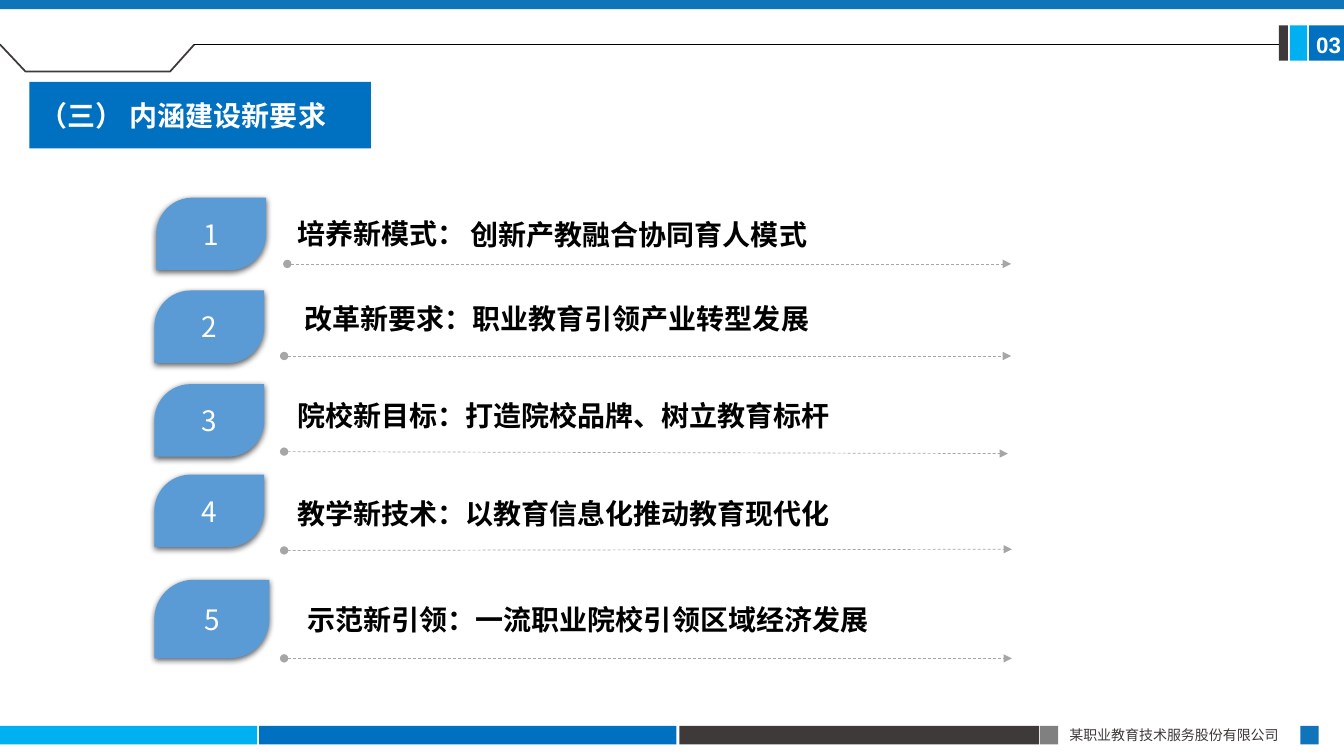
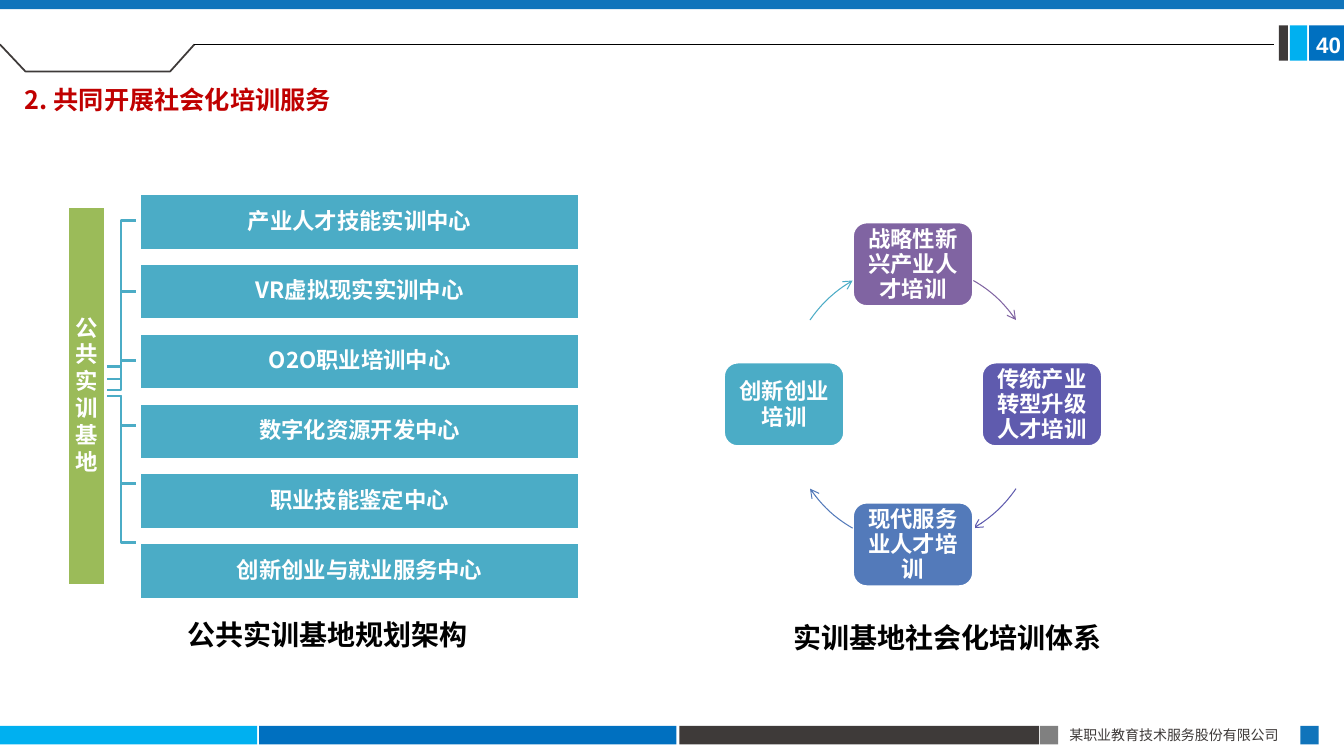
"""Build two training-programme slides on one shared frame."""
from dataclasses import dataclass
from typing import NamedTuple, Optional

import lxml.etree
import pptx
import pptx.dml.color
import pptx.enum.dml
import pptx.enum.shapes
import pptx.enum.text
import pptx.oxml.ns
import pptx.presentation
import pptx.shapes.autoshape
import pptx.shapes.base
import pptx.slide
import pptx.text.text
import pptx.util

Cm = pptx.util.Cm
Pt = pptx.util.Pt
RGBColor = pptx.dml.color.RGBColor
Shape = pptx.shapes.autoshape.Shape
Slide = pptx.slide.Slide
PresetShape = pptx.enum.shapes.MSO_SHAPE
Align = pptx.enum.text.PP_ALIGN
Anchor = pptx.enum.text.MSO_ANCHOR
qualified = pptx.oxml.ns.qn

WHITE = RGBColor(0xFF, 0xFF, 0xFF)
BLACK = RGBColor(0x00, 0x00, 0x00)
CHARCOAL = RGBColor(0x3E, 0x3A, 0x39)
GRAY = RGBColor(0x80, 0x80, 0x80)
LIGHT_GRAY = RGBColor(0xA6, 0xA6, 0xA6)
SKY = RGBColor(0x00, 0xB0, 0xF0)
BLUE = RGBColor(0x00, 0x70, 0xC0)
STEEL = RGBColor(0x10, 0x74, 0xBB)
BADGE_BLUE = RGBColor(0x5B, 0x9B, 0xD5)
RED = RGBColor(0xC0, 0x00, 0x00)
TEAL = RGBColor(0x4B, 0xAC, 0xC6)
GREEN = RGBColor(0x9B, 0xBB, 0x59)
PURPLE = RGBColor(0x80, 0x64, 0xA2)
INDIGO = RGBColor(0x5F, 0x5B, 0xAE)
DENIM = RGBColor(0x53, 0x7A, 0xBA)

CHINESE_FONT = "Noto Sans CJK SC"
FOOTER_TOP, FOOTER_HEIGHT = 18.29, 0.47
MARK_TOP, MARK_HEIGHT = 0.64, 0.89
RULE_Y = 1.12


class Box(NamedTuple):
    """A rectangle in centimetres."""
    left: float
    top: float
    width: float
    height: float


class Point(NamedTuple):
    """A position in centimetres."""
    x: float
    y: float


@dataclass(frozen=True)
class TextStyle:
    """Character and paragraph format of a text."""
    size: float
    color: RGBColor
    bold: bool = True
    font: str = CHINESE_FONT
    align: Align = Align.LEFT
    line_spacing: Optional[float | pptx.util.Length] = None
    space_after: float = 0


class Band(NamedTuple):
    """A plain coloured rectangle of the frame."""
    box: Box
    color: RGBColor


class Row(NamedTuple):
    """A numbered badge with its dashed arrow."""
    badge: Box
    start: Point
    end: Point


class Label(NamedTuple):
    """A bold one-line text."""
    left: float
    top: float
    text: str


class Node(NamedTuple):
    """A cycle step, its centre offset in radii and its outgoing arc in degrees."""
    text: str
    color: RGBColor
    across: int
    down: int
    arc_start: float
    arc_end: float


LABEL_STYLE = TextStyle(20, BLACK)
BADGE_STYLE = TextStyle(20, WHITE, bold=False, align=Align.CENTER)
CENTER_STYLE = TextStyle(16, WHITE, align=Align.CENTER, line_spacing=0.9)
PILLAR_STYLE = TextStyle(16, WHITE, align=Align.CENTER, line_spacing=0.9, space_after=2)
NODE_STYLE = TextStyle(16, WHITE, align=Align.CENTER, line_spacing=Pt(18))
FOOTER_STYLE = TextStyle(10, CHARCOAL, bold=False)
NUMBER_STYLE = TextStyle(16, WHITE, font="Arial")

BANDS = [
    Band(Box(0, FOOTER_TOP, 6.48, FOOTER_HEIGHT), SKY),
    Band(Box(6.53, FOOTER_TOP, 10.52, FOOTER_HEIGHT), BLUE),
    Band(Box(17.12, FOOTER_TOP, 9.07, FOOTER_HEIGHT), CHARCOAL),
    Band(Box(26.21, FOOTER_TOP, 0.46, FOOTER_HEIGHT), GRAY),
    Band(Box(32.77, FOOTER_TOP, 0.46, FOOTER_HEIGHT), STEEL),
    Band(Box(32.99, MARK_TOP, 0.88, MARK_HEIGHT), BLUE),
    Band(Box(32.51, MARK_TOP, 0.43, MARK_HEIGHT), SKY),
    Band(Box(32.23, MARK_TOP, 0.23, MARK_HEIGHT), CHARCOAL),
    Band(Box(0, 0, 33.87, 0.23), STEEL),
]
NOTCH = [Point(0, RULE_Y), Point(0.64, 1.8), Point(4.29, 1.8), Point(4.9, RULE_Y)]

ROWS = [
    Row(Box(3.94, 4.98, 2.77, 1.83), Point(7.24, 6.65), Point(25.48, 6.65)),
    Row(Box(3.89, 7.32, 2.77, 1.83), Point(7.16, 8.97), Point(25.48, 8.97)),
    Row(Box(3.89, 9.68, 2.77, 1.83), Point(7.16, 11.38), Point(25.4, 11.43)),
    Row(Box(3.89, 11.96, 2.77, 1.83), Point(7.16, 13.87), Point(25.5, 13.84)),
    Row(Box(3.89, 14.61, 2.9, 1.98), Point(7.16, 16.59), Point(25.5, 16.59)),
]
REQUIREMENTS = [
    Label(7.16, 5.31, "培养新模式："),
    Label(11.53, 5.34, "创新产教融合协同育人模式"),
    Label(7.34, 7.44, "改革新要求：职业教育引领产业转型发展"),
    Label(7.16, 9.88, "院校新目标：打造院校品牌、树立教育标杆"),
    Label(7.16, 12.37, "教学新技术：以教育信息化推动教育现代化"),
    Label(7.42, 15.04, "示范新引领：一流职业院校引领区域经济发展"),
]

CENTERS = ["产业人才技能实训中心", "VR虚拟现实实训中心", "O2O职业培训中心",
           "数字化资源开发中心", "职业技能鉴定中心", "创新创业与就业服务中心"]
BRACKET_STARTS = [9.24, 9.55, 9.83, 9.98, 9.98, 9.98]
BRACKET_ENDS = [5.56, 7.34, 9.09, 10.72, 12.19, 13.67]
NODES = [
    Node("战略性新兴产业人才培训", PURPLE, 0, -1, 296, 320.7),
    Node("传统产业转型升级人才培训", INDIGO, 1, 0, 39.3, 64),
    Node("现代服务业人才培训", DENIM, 0, 1, 116, 140.7),
    Node("创新创业培训", TEAL, -1, 0, 219.3, 244),
]
CYCLE_CENTER = Point(23.01, 10.19)
RADIUS_X, RADIUS_Y = 3.25, 3.53
NODE_WIDTH, NODE_HEIGHT = 3.05, 2.13
CAPTIONS = [Label(19.66, 15.49, "实训基地社会化培训体系"),
            Label(4.39, 15.42, "公共实训基地规划架构")]


def lengths(values: tuple) -> list[pptx.util.Length]:
    """Convert centimetre values to lengths."""
    return [Cm(value) for value in values]


def write_text(shape: Shape, text: str, style: TextStyle,
               inset: tuple[float, float] = (0.25, 0.13), anchor: Anchor = Anchor.MIDDLE) -> None:
    """Fill a shape with wrapped, formatted text."""
    frame = shape.text_frame
    frame.text = text
    frame.word_wrap = True
    frame.auto_size = pptx.enum.text.MSO_AUTO_SIZE.NONE
    frame.vertical_anchor = anchor
    frame.margin_left = frame.margin_right = Cm(inset[0])
    frame.margin_top = frame.margin_bottom = Cm(inset[1])
    for paragraph in frame.paragraphs:
        paragraph.alignment = style.align
        paragraph.line_spacing = style.line_spacing
        paragraph.space_after = Pt(style.space_after)
        for run in paragraph.runs:
            run.font.name = style.font
            run.font.size = Pt(style.size)
            run.font.bold = style.bold
            run.font.color.rgb = style.color
            properties = run._r.get_or_add_rPr()
            lxml.etree.SubElement(properties, qualified("a:ea"), typeface=style.font)


def add_text(slide: Slide, box: Box, text: str, style: TextStyle, inset: tuple[float, float]) -> None:
    """Add a top-anchored text box."""
    write_text(slide.shapes.add_textbox(*lengths(box)), text, style, inset, Anchor.TOP)


def add_label(slide: Slide, label: Label) -> None:
    """Add a large bold label."""
    add_text(slide, Box(label.left, label.top, 17, 1.19), label.text, LABEL_STYLE, (0.33, 0.15))


def add_block(slide: Slide, preset: PresetShape, box: Box, color: RGBColor,
              outline: Optional[RGBColor] = None) -> Shape:
    """Add a flat filled shape, outlined if a colour is given."""
    shape = slide.shapes.add_shape(preset, *lengths(box))
    shape.shadow.inherit = False
    shape.fill.solid()
    shape.fill.fore_color.rgb = color
    if outline is None:
        shape.line.fill.background()
    else:
        shape.line.color.rgb = outline
        shape.line.width = Pt(2)
    return shape


def add_polyline(slide: Slide, points: list[Point], color: RGBColor, width: float) -> None:
    """Add an open outline through the points."""
    start, *others = [tuple(lengths(point)) for point in points]
    builder = slide.shapes.build_freeform(*start)
    builder.add_line_segments(others, close=False)
    shape = builder.convert_to_shape()
    shape.shadow.inherit = False
    shape.fill.background()
    shape.line.color.rgb = color
    shape.line.width = Pt(width)


def add_line_end(shape: pptx.shapes.base.BaseShape, end: str, kind: str) -> None:
    """Put an arrowhead on a line end."""
    lxml.etree.SubElement(shape.line._get_or_add_ln(), qualified(f"a:{end}"), type=kind)


def add_line(slide: Slide, start: Point, end: Point, color: RGBColor) -> pptx.shapes.base.BaseShape:
    """Add a thin straight line."""
    connector = slide.shapes.add_connector(
        pptx.enum.shapes.MSO_CONNECTOR.STRAIGHT, *lengths(start + end))
    connector.line.color.rgb = color
    connector.line.width = Pt(0.5)
    lxml.etree.SubElement(connector.element.spPr, qualified("a:effectLst"))
    return connector


def add_soft_shadow(shape: Shape) -> None:
    """Add a soft shadow below a shape."""
    effects = shape.element.spPr.find(qualified("a:effectLst"))
    shadow = lxml.etree.SubElement(effects, qualified("a:outerShdw"), blurRad=str(Pt(4.5)),
                                   dist=str(Pt(1.5)), dir="5400000", rotWithShape="0")
    color = lxml.etree.SubElement(shadow, qualified("a:srgbClr"), val=str(BLACK))
    lxml.etree.SubElement(color, qualified("a:alpha"), val="63000")


def build_frame(slide: Slide) -> None:
    """Draw the shared frame and move it to the layout of the slide."""
    layout = slide.slide_layout
    for placeholder in list(layout.placeholders)[1:]:
        layout.shapes.element.remove(placeholder.element)
    for band in BANDS:
        add_block(slide, PresetShape.RECTANGLE, band.box, band.color)
    add_text(slide, Box(26.7, 18.19, 6.1, 0.69), "某职业教育技术服务股份有限公司", FOOTER_STYLE, (0.25, 0.13))
    add_polyline(slide, NOTCH, CHARCOAL, 1.25)
    for shape in list(slide.shapes)[1:]:
        layout.shapes.element.append(shape.element)


def set_heading(slide: Slide, box: Box, title: str, style: TextStyle, number: str, rule_end: float) -> None:
    """Set the title, page number and header rule."""
    placeholder = slide.shapes.title
    placeholder.left, placeholder.top, placeholder.width, placeholder.height = lengths(box)
    write_text(placeholder, title, style)
    add_line(slide, NOTCH[-1], Point(rule_end, RULE_Y), BLACK)
    add_text(slide, Box(33.17, 0.66, 0.69, 0.94), number, NUMBER_STYLE, (0, 0.13))


def build_requirements(slide: Slide) -> None:
    """Draw the numbered list of requirements."""
    set_heading(slide, Box(0.74, 2.06, 8.61, 1.68), "（三） 内涵建设新要求",
                TextStyle(20, WHITE), "03", 32.23)
    slide.shapes.title.fill.solid()
    slide.shapes.title.fill.fore_color.rgb = BLUE
    for number, row in enumerate(ROWS, start=1):
        badge = add_block(slide, PresetShape.ROUND_2_DIAG_RECTANGLE, row.badge, BADGE_BLUE)
        badge.adjustments[0] = 0.5
        add_soft_shadow(badge)
        write_text(badge, str(number), BADGE_STYLE)
        arrow = add_line(slide, row.start, row.end, LIGHT_GRAY)
        arrow.line.dash_style = pptx.enum.dml.MSO_LINE.DASH
        add_line_end(arrow, "headEnd", "oval")
        add_line_end(arrow, "tailEnd", "triangle")
    for label in REQUIREMENTS:
        add_label(slide, label)


def build_training(slide: Slide) -> None:
    """Draw the training base structure and the training cycle."""
    set_heading(slide, Box(0.38, 1.93, 10.03, 1.17), "2. 共同开展社会化培训服务",
                TextStyle(18, RED), "40", 32.11)
    for start, end in zip(BRACKET_STARTS, BRACKET_ENDS):
        add_polyline(slide, [Point(2.67, start), Point(3.05, start), Point(3.05, end),
                             Point(3.42, end)], TEAL, 2)
    pillar = add_block(slide, PresetShape.RECTANGLE, Box(1.7, 5.21, 0.97, 9.55), GREEN, WHITE)
    write_text(pillar, "\n".join("公共实训基地"), PILLAR_STYLE, (0.03, 0.03))
    for index, name in enumerate(CENTERS):
        box = Box(3.53, 4.88 + 1.76 * index, 11.07, 1.42)
        center = add_block(slide, PresetShape.RECTANGLE, box, TEAL, WHITE)
        write_text(center, name, CENTER_STYLE, (0.03, 0.03))
    ring = Box(CYCLE_CENTER.x - RADIUS_X, CYCLE_CENTER.y - RADIUS_Y, 2 * RADIUS_X, 2 * RADIUS_Y)
    for node in NODES:
        box = Box(CYCLE_CENTER.x + node.across * RADIUS_X - NODE_WIDTH / 2,
                  CYCLE_CENTER.y + node.down * RADIUS_Y - NODE_HEIGHT / 2, NODE_WIDTH, NODE_HEIGHT)
        step = add_block(slide, PresetShape.ROUNDED_RECTANGLE, box, node.color, WHITE)
        write_text(step, node.text, NODE_STYLE, (0.28, 0.28))
        arc = slide.shapes.add_shape(PresetShape.ARC, *lengths(ring))
        arc.shadow.inherit = False
        arc.fill.background()
        arc.adjustments[0], arc.adjustments[1] = node.arc_start * 0.6, node.arc_end * 0.6
        arc.line.color.rgb = node.color
        arc.line.width = Pt(0.75)
        add_line_end(arc, "tailEnd", "arrow")
    for caption in CAPTIONS:
        add_label(slide, caption)


def main() -> None:
    """Build and save the presentation."""
    presentation = pptx.Presentation()
    presentation.slide_width, presentation.slide_height = Cm(33.87), Cm(19.05)
    title_only = presentation.slide_layouts[5]
    requirements = presentation.slides.add_slide(title_only)
    build_frame(requirements)
    build_requirements(requirements)
    build_training(presentation.slides.add_slide(title_only))
    presentation.save("out.pptx")


if __name__ == "__main__":
    main()
